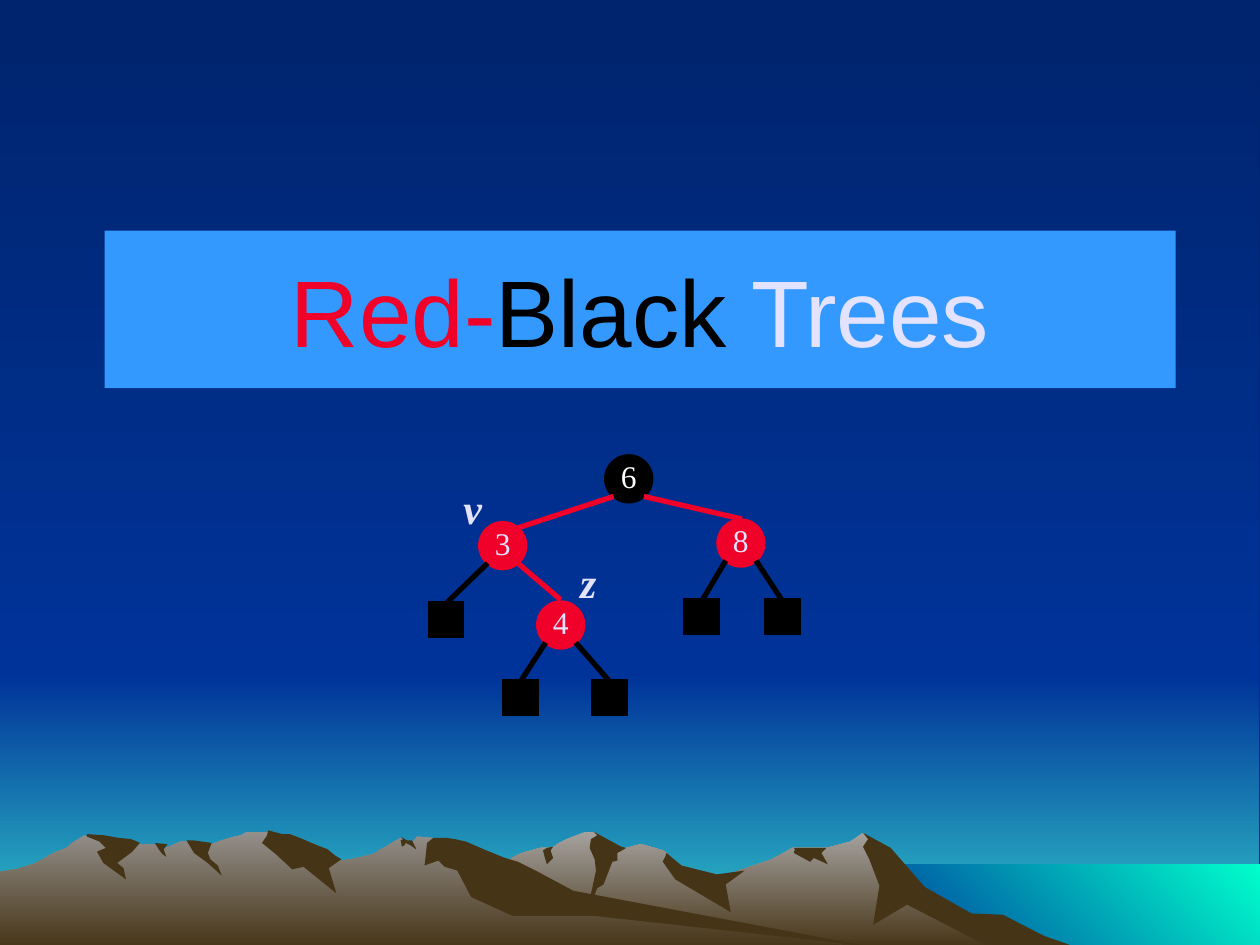
from pptx import Presentation
from pptx.dml.color import RGBColor
from pptx.enum.shapes import MSO_CONNECTOR, MSO_SHAPE
from pptx.enum.text import MSO_ANCHOR, PP_ALIGN
from pptx.oxml.ns import qn
from pptx.util import Inches, Pt

RECT, OVAL = MSO_SHAPE.RECTANGLE, MSO_SHAPE.OVAL
STRAIGHT = MSO_CONNECTOR.STRAIGHT
MIDDLE, CENTER = MSO_ANCHOR.MIDDLE, PP_ALIGN.CENTER

NAVY = RGBColor(0x00, 0x24, 0x6D)
BLUE = RGBColor(0x00, 0x33, 0x99)
TEAL = RGBColor(0x33, 0xCC, 0xCC)
AQUA = RGBColor(0x00, 0xFF, 0xCC)
BROWN = RGBColor(0x46, 0x34, 0x16)
GREY = RGBColor(0xA5, 0xA2, 0x9F)
STONE = RGBColor(0x93, 0x8F, 0x8B)
BAND = RGBColor(0x33, 0x99, 0xFF)
RED = RGBColor(0xEF, 0x01, 0x29)
BLACK = RGBColor(0x00, 0x00, 0x00)
WHITE = RGBColor(0xFF, 0xFF, 0xFF)
LILAC = RGBColor(0xE3, 0xE3, 0xFF)

SANS, SERIF = "Arial", "Times New Roman"
DOWN, UP_RIGHT = 270, 45
NODE, LEAF = 0.35, 0.25

RIGHT_RANGE = [
    (8.02, 7.41), (7.78, 7.28), (7.64, 7.25), (7.23, 6.99), (7.01, 6.73), (6.85, 6.61),
    (6.75, 6.68), (6.56, 6.73), (6.29, 6.73), (6.13, 6.82), (5.66, 6.98), (5.36, 6.91),
    (5.29, 6.77), (5.26, 6.75), (5.09, 6.7), (4.97, 6.73), (4.85, 6.75), (4.74, 6.62),
    (4.71, 6.6), (4.65, 6.6), (4.5, 6.66), (4.44, 6.69), (4.38, 6.73), (4.29, 6.73),
    (4.18, 6.76), (4.12, 6.78), (4.05, 6.82), (3.94, 6.87), (3.55, 6.99), (3.27, 7.11),
    (2.77, 7.4), (2.58, 7.53), (8.21, 7.53)]
LEFT_RANGE = [
    (6.9, 7.53), (6.67, 7.5), (4.32, 7.14), (3.54, 6.66), (3.31, 6.64), (3.27, 6.69),
    (3.23, 6.69), (3.18, 6.65), (2.96, 6.78), (2.79, 6.82), (2.71, 6.83), (2.59, 6.78),
    (2.35, 6.82), (2.23, 6.64), (2.19, 6.62), (2.12, 6.6), (1.96, 6.6), (1.91, 6.63),
    (1.86, 6.64), (1.79, 6.66), (1.68, 6.7), (1.6, 6.73), (1.48, 6.68), (1.43, 6.68),
    (1.32, 6.73), (1.27, 6.73), (1.22, 6.7), (1.11, 6.7), (0.94, 6.73), (0.67, 6.63),
    (0.56, 6.7), (0.53, 6.73), (0.45, 6.76), (0.26, 6.86), (0.13, 6.9), (0, 6.92), (0, 7.53)]
RIGHT_SHADOWS = [
    [(7.96, 7.26), (7.71, 7.25), (7.34, 7.04), (7.07, 6.73), (6.85, 6.61), (6.89, 6.66),
     (6.85, 6.72), (6.9, 6.82), (6.98, 7.03), (6.93, 7.34), (7.2, 7.18), (7.88, 7.53),
     (8.58, 7.53), (8.29, 7.43)],
    [(4.71, 6.6), (4.74, 6.63), (4.69, 6.66), (4.68, 6.73), (4.72, 6.82), (4.73, 6.91),
     (4.65, 7.28), (4.74, 7.05), (4.79, 7.02), (4.86, 6.84), (4.9, 6.83), (4.9, 6.77),
     (4.97, 6.73), (4.93, 6.72)],
    [(5.29, 6.77), (5.28, 6.8), (5.26, 6.84), (5.36, 6.98), (5.8, 7.24), (5.76, 7.02),
     (5.91, 6.91), (5.69, 6.94), (5.41, 6.87)],
    [(6.49, 6.73), (6.3, 6.73), (6.31, 6.74), (6.3, 6.77), (6.43, 6.84), (6.46, 6.81),
     (6.57, 6.86), (6.52, 6.77), (6.56, 6.73)],
    [(4.32, 6.79), (4.31, 6.75), (4.34, 6.73), (4.39, 6.72), (4.37, 6.75), (4.39, 6.81),
     (4.34, 6.86)]]
LEFT_SHADOWS = [
    [(2.12, 6.63), (2.08, 6.69), (2.19, 6.78), (2.32, 6.9), (2.41, 6.88), (2.67, 7.09),
     (2.61, 6.89), (2.71, 6.82), (2.66, 6.79), (2.6, 6.74), (2.52, 6.71), (2.38, 6.65),
     (2.3, 6.62), (2.24, 6.62), (2.13, 6.59)],
    [(3.7, 6.68), (3.61, 6.66), (3.54, 6.65), (3.44, 6.65), (3.39, 6.69), (3.37, 6.87),
     (3.48, 6.83), (3.53, 6.88), (3.63, 6.91), (3.74, 7.12), (4.07, 7.27), (4.72, 7.27),
     (6.9, 7.51), (6.83, 7.5), (4.55, 7.07), (4.27, 6.92), (4.11, 6.84), (4.01, 6.81),
     (3.86, 6.75)],
    [(3.18, 6.67), (3.2, 6.66), (3.18, 6.64), (3.23, 6.67), (3.27, 6.67), (3.3, 6.73),
     (3.3, 6.74), (3.26, 6.71), (3.22, 6.69), (3.21, 6.71), (3.19, 6.72)],
    [(1.54, 6.67), (1.61, 6.68), (1.68, 6.69), (1.65, 6.77), (1.67, 6.82), (1.73, 6.87),
     (1.76, 6.95), (1.65, 6.85), (1.54, 6.77), (1.48, 6.67)],
    [(1.33, 6.7), (1.3, 6.74), (1.32, 6.8), (1.29, 6.78), (1.26, 6.74), (1.23, 6.69)],
    [(1.09, 6.68), (1.11, 6.69), (1.05, 6.76), (0.93, 6.85), (0.98, 6.89), (1, 6.98),
     (0.82, 6.85), (0.77, 6.76), (0.84, 6.73), (0.79, 6.68), (0.69, 6.64), (0.69, 6.62),
     (0.83, 6.63), (0.94, 6.65), (1.04, 6.66)]]


def set_gradient(fill, colors, angle):
    fill.gradient()
    fill.gradient_angle = angle
    for stop, color in zip(fill.gradient_stops, colors):
        stop.color.rgb = color


def paint(sp, fill, line=None, angle=DOWN):
    """Fill with one colour, or with a gradient if fill is a pair."""
    sp.shadow.inherit = False
    if isinstance(fill, RGBColor):
        sp.fill.solid()
        sp.fill.fore_color.rgb = fill
    else:
        set_gradient(sp.fill, fill, angle)
    if line is None:
        sp.line.fill.background()
    else:
        sp.line.color.rgb = line
        sp.line.width = Pt(3)
        ln = sp._element.spPr.find(qn("a:ln"))
        ln.append(ln.makeelement(qn("a:miter"), {"lim": "800000"}))


def add_box(s, kind, x, y, w, h, *style):
    sp = s.shapes.add_shape(kind, Inches(x), Inches(y), Inches(w), Inches(h))
    paint(sp, *style)
    return sp


def add_outline(s, points, fill):
    """Draw a closed outline; the builder needs whole-number lengths."""
    first, *rest = [(Inches(x), Inches(y)) for x, y in points]
    builder = s.shapes.build_freeform(*first)
    builder.add_line_segments(rest, close=True)
    paint(builder.convert_to_shape(), fill)


def add_run(p, text, color, **font):
    r = p.add_run()
    r.text = text
    r.font.color.rgb = color
    for name, value in font.items():
        setattr(r.font, name, value)


def add_title(s):
    title = s.shapes.title
    s.shapes._spTree.append(title._element)  # in front of the landscape
    box = {"left": 0.83, "top": 1.83, "width": 8.5, "height": 1.25}
    for name, value in box.items():
        setattr(title, name, Inches(value))
    title.fill.solid()
    title.fill.fore_color.rgb = BAND
    title.text_frame.vertical_anchor = MIDDLE
    p = title.text_frame.paragraphs[0]
    p.alignment = CENTER
    for text, color in (("Red-", RED), ("Black", BLACK), (" Trees", LILAC)):
        add_run(p, text, color, size=Pt(54), name=SANS)


def add_node(s, key, x, y, fill, color):
    sp = add_box(s, OVAL, x - NODE / 2, y - NODE / 2, NODE, NODE, fill, fill)
    tf = sp.text_frame
    tf.word_wrap = False
    tf.vertical_anchor = MIDDLE
    tf.margin_left = tf.margin_top = tf.margin_right = 0
    tf.margin_bottom = Inches(0.05)
    p = tf.paragraphs[0]
    p.alignment = CENTER
    add_run(p, key, color, size=Pt(18), name=SERIF)


def add_edge(s, child, parent, color):
    """Draw from the child's point to the parent's lower left or right."""
    (x, y), (px, py) = child, parent
    px += 0.12 if x > px else -0.12
    edge = s.shapes.add_connector(STRAIGHT, *map(Inches, (x, y, px, py + 0.14)))
    edge.line.color.rgb = color
    edge.line.width = Pt(3)
    edge._element.spPr.append(edge._element.makeelement(qn("a:effectLst"), {}))
    return edge


def add_leaf(s, x, y, parent):
    sp = add_box(s, RECT, x - LEAF / 2, y, LEAF, LEAF, BLACK, BLACK)
    add_edge(s, (x, y), parent, BLACK).begin_connect(sp, 0)


def add_label(s, text, x, y):
    sp = s.shapes.add_textbox(Inches(x), Inches(y), Inches(0.34), Inches(0.5))
    sp.text_frame.word_wrap = True
    p = sp.text_frame.paragraphs[0]
    p.alignment = CENTER
    add_run(p, text, LILAC, size=Pt(24), name=SERIF, bold=True, italic=True)


def add_landscape(s):
    set_gradient(s.background.fill, (NAVY, BLUE), DOWN)
    add_box(s, RECT, -0.01, 5.36, 10, 2.17, (BLUE, TEAL))
    add_box(s, RECT, -0.01, 0.02, 10, 5.34, (NAVY, BLUE))
    add_box(s, RECT, 6.83, 6.86, 3.17, 0.67, (BLUE, AQUA), None, UP_RIGHT)
    ranges = ((RIGHT_RANGE, GREY, RIGHT_SHADOWS), (LEFT_RANGE, STONE, LEFT_SHADOWS))
    for ridge, light, shadows in ranges:
        add_outline(s, ridge, (light, BROWN))
        for shadow in shadows:
            add_outline(s, shadow, BROWN)


def add_tree(s):
    six, three, eight, four = (4.99, 3.8), (3.99, 4.33), (5.88, 4.31), (4.45, 4.96)
    add_node(s, "6", *six, BLACK, WHITE)
    for end, parent in (((5.89, 4.12), six), ((4.11, 4.19), six), ((4.45, 4.76), three)):
        add_edge(s, end, parent, RED)
    for key, center in (("3", three), ("8", eight), ("4", four)):
        add_node(s, key, *center, RED, LILAC)
    for x, y, parent in ((3.54, 4.79, three), (5.57, 4.77, eight), (6.21, 4.77, eight),
                         (4.13, 5.41, four), (4.84, 5.41, four)):
        add_leaf(s, x, y, parent)
    add_label(s, "v", 3.58, 3.78)
    add_label(s, "z", 4.5, 4.37)


def main():
    prs = Presentation()
    prs.slide_width, prs.slide_height = Inches(10), Inches(7.5)
    s = prs.slides.add_slide(prs.slide_layouts[5])
    add_landscape(s)
    add_title(s)
    add_tree(s)
    prs.save("out.pptx")


if __name__ == "__main__":
    main()
